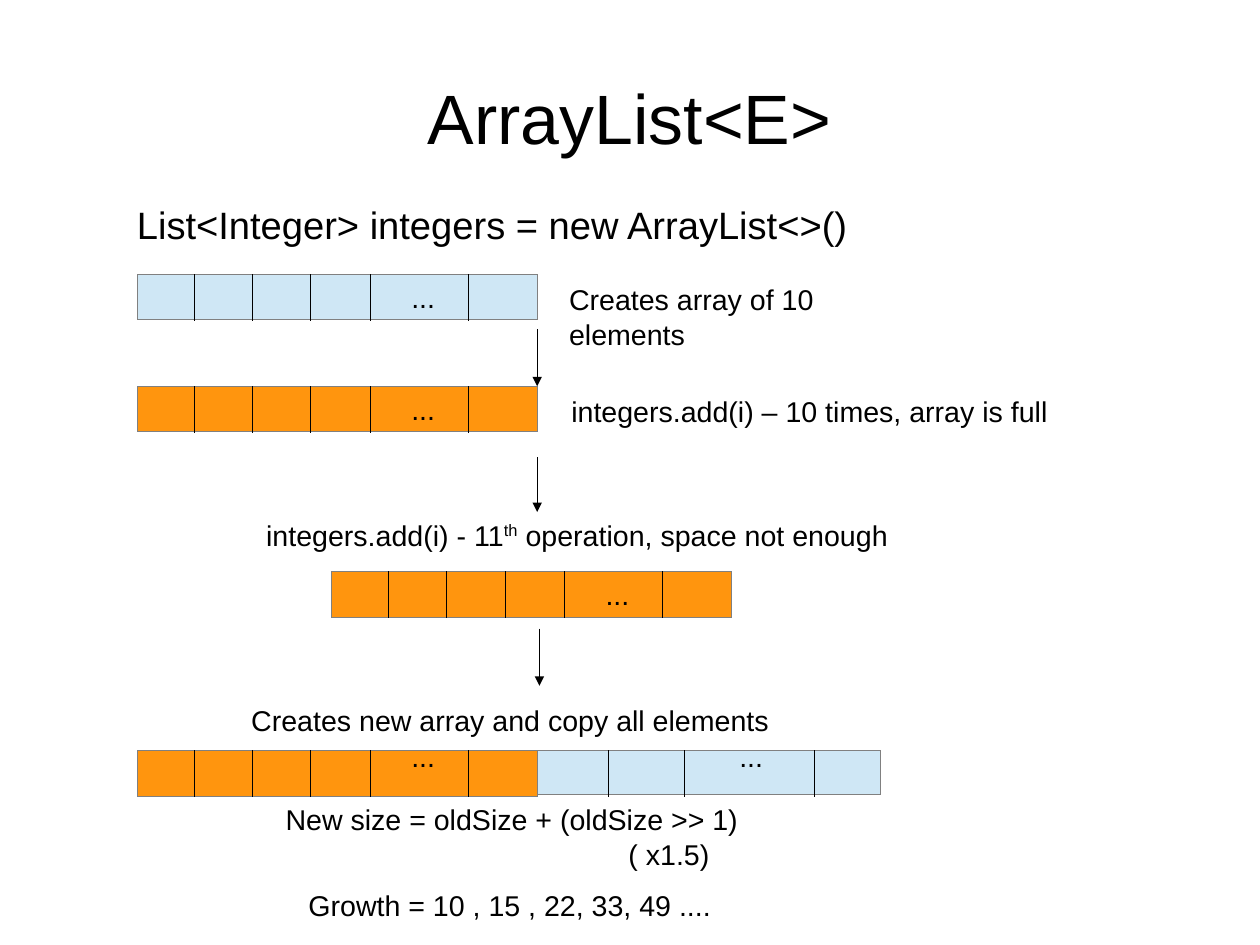
from lxml import etree
from pptx import Presentation, util as u
from pptx.dml.color import RGBColor
from pptx.enum import shapes, text
from pptx.oxml.ns import qn

# Content
SLIDE_W_CM, SLIDE_H_CM = 28, 21
FONT = "Arial"
COLORS = {"text": "000000", "border": "808080", "free": "CFE7F5", "used": "FF950E"}
TITLE = "ArrayList<E>"

OLD_W, ROW_H = 3.5, 0.4
OLD_CELLS = (0.5, 1.01, 1.52, 2.04, 2.9)    # dividers, from the array's left edge
GROWN_CELLS = (0.62, 1.29, 2.43)
LEFT = 1.2

# left, top, width, height, state, dividers, ellipsis offset (x, y)
ARRAYS = [
    (LEFT, 2.4, OLD_W, ROW_H, "free", OLD_CELLS, (2.3, 0)),
    (LEFT, 3.38, OLD_W, ROW_H, "used", OLD_CELLS, (2.3, 0)),
    (2.9, 5, OLD_W, ROW_H, "used", OLD_CELLS, (2.3, 0)),
    (LEFT, 6.57, OLD_W, ROW_H, "used", OLD_CELLS, (2.3, -0.15)),
    (LEFT + OLD_W, 6.57, 3, 0.38, "free", GROWN_CELLS, (1.67, -0.15)),
]
# x, top, bottom
STEPS = [(4.7, 2.88, 3.38), (4.7, 4, 4.48), (4.72, 5.5, 6)]

# left, top, width, height, size, wrap, paragraphs of (indent, runs)
LABELS = [
    (1.1, 1.71, 6.6, 0.84, 24, True, [(0, ["List<Integer> integers = new ArrayList<>()"])]),
    (4.88, 2.42, 3.42, 0.38, 18, False, [(0, ["Creates array of 10 elements"])]),
    (4.9, 3.4, 4.8, 0.66, 18, True, [(0, ["integers.add(i) – 10 times, array is full"])]),
    (2.23, 4.48, 5.65, 0.39, 18, False,
     [(0, ["integers.add(i) - 11", "th", " operation, space not enough"])]),
    (2.1, 6.1, 6.8, 0.4, 18, True, [(0, ["Creates new array and copy all elements"])]),
    (2.4, 6.97, 6.1, 0.66, 18, True,
     [(0, ["New size = oldSize + (oldSize >> 1)"]), (3, ["( x1.5)"])]),
    (2.6, 7.72, 3.72, 0.38, 18, False, [(0, ["Growth = 10 , 15 , 22, 33, 49 ...."])]),
]


def rgb(name):
    return RGBColor.from_string(COLORS[name])


def inches(*lengths):
    return [u.Inches(length) for length in lengths]


def style(paragraph, size):
    paragraph.font.name = FONT
    paragraph.font.size = u.Pt(size)
    paragraph.font.color.rgb = rgb("text")


def set_hairline(shape, color):
    shape.line.color.rgb = rgb(color)
    outline = shape.line._get_or_add_ln()
    outline.set("w", "0")    # line.width drops a zero and falls back to the theme
    return outline


def add_label(slide, left, top, width, height, size, wrap, paragraphs):
    frame = slide.shapes.add_textbox(*inches(left, top, width, height)).text_frame
    frame.word_wrap = wrap
    frame.auto_size = text.MSO_AUTO_SIZE.SHAPE_TO_FIT_TEXT
    for i, (indent, runs) in enumerate(paragraphs):
        paragraph = frame.add_paragraph() if i else frame.paragraphs[0]
        style(paragraph, size)
        if indent:
            paragraph._p.get_or_add_pPr().set("marL", str(u.Inches(indent)))
        for words in runs:
            run = paragraph.add_run()
            run.text = words
            if words == "th":
                run.font._element.set("baseline", "33000")


def add_line(slide, x, top, bottom, arrow=False):
    line = slide.shapes.add_connector(
        shapes.MSO_CONNECTOR.STRAIGHT, *inches(x, top, x, bottom))
    outline = set_hairline(line, "text")
    if arrow:
        etree.SubElement(outline, qn("a:tailEnd"), type="triangle")
    etree.SubElement(line._element.spPr, qn("a:effectLst"))


def add_array(slide, left, top, width, height, state, dividers, ellipsis):
    bar = slide.shapes.add_shape(
        shapes.MSO_SHAPE.RECTANGLE, *inches(left, top, width, height))
    bar.shadow.inherit = False
    bar.fill.solid()
    bar.fill.fore_color.rgb = rgb(state)
    set_hairline(bar, "border")
    for offset in dividers:
        add_line(slide, left + offset, top, top + ROW_H)
    dx, dy = ellipsis
    add_label(slide, left + dx, top + dy, 1, 0.66, 18, True, [(0, ["..."])])


def main():
    deck = Presentation()
    deck.slide_width, deck.slide_height = u.Cm(SLIDE_W_CM), u.Cm(SLIDE_H_CM)
    deck.element.find(qn("p:sldSz")).attrib.pop("type", None)
    slide = deck.slides.add_slide(deck.slide_layouts[5])

    # Title
    title = slide.shapes.title
    title.left, title.top, title.width, title.height = inches(0.55, 0.33, 9.92, 1.38)
    frame = title.text_frame
    frame.text = TITLE
    frame.auto_size = text.MSO_AUTO_SIZE.NONE
    frame.vertical_anchor = text.MSO_ANCHOR.MIDDLE
    frame.margin_left = frame.margin_right = frame.margin_top = frame.margin_bottom = 0
    frame.paragraphs[0].alignment = text.PP_ALIGN.CENTER
    style(frame.paragraphs[0], 44)

    # Arrays, steps between them, and explanations
    for array in ARRAYS:
        add_array(slide, *array)
    for step in STEPS:
        add_line(slide, *step, arrow=True)
    for label in LABELS:
        add_label(slide, *label)

    deck.save("out.pptx")


if __name__ == "__main__":
    main()
